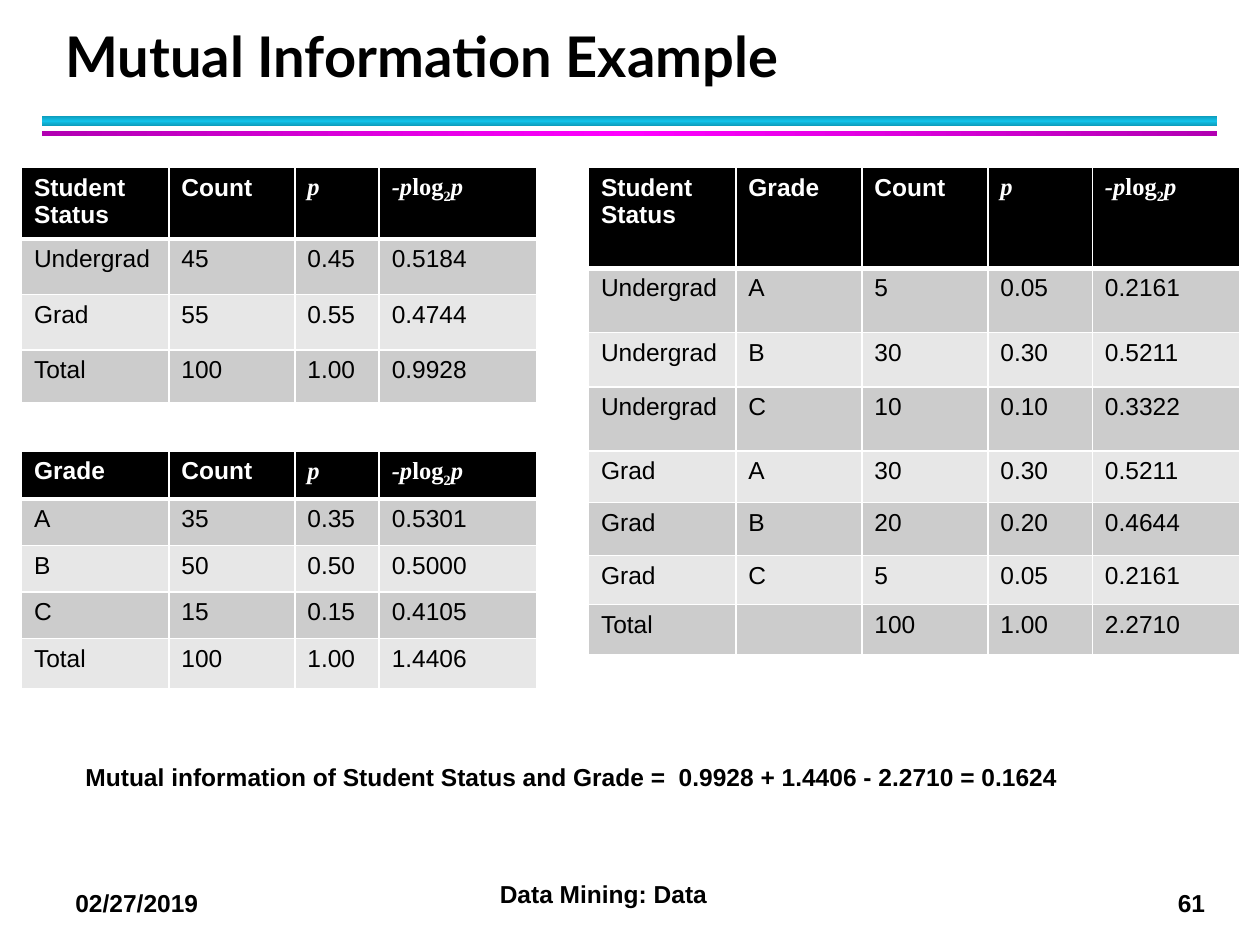
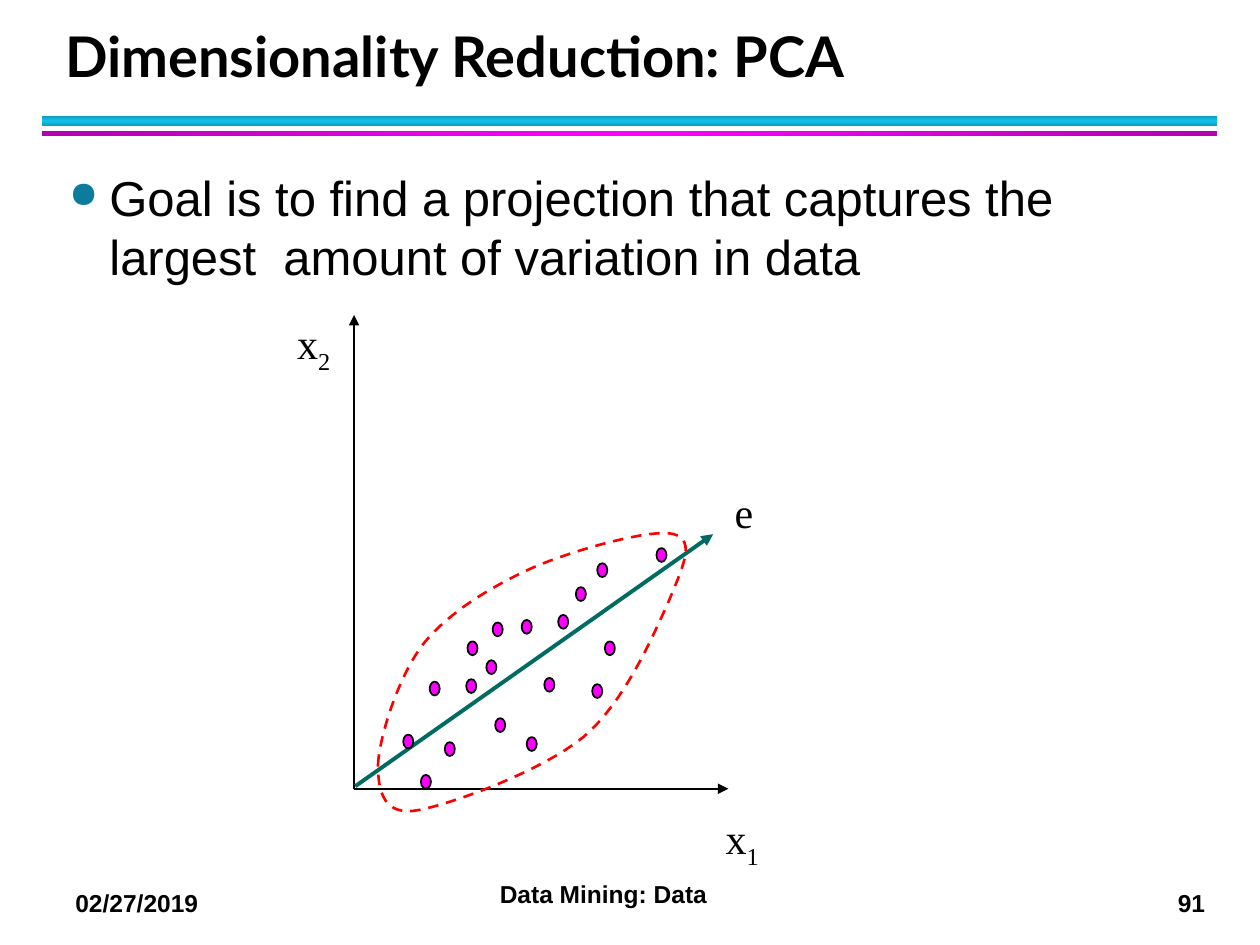
from copy import deepcopy

from pptx import Presentation
from pptx.dml.color import RGBColor
from pptx.enum.dml import MSO_LINE
from pptx.enum.shapes import MSO_CONNECTOR, MSO_SHAPE
from pptx.enum.text import MSO_ANCHOR, PP_ALIGN
from pptx.oxml.ns import qn
from pptx.util import Inches, Pt
from lxml import etree

RECTANGLE, OVAL = MSO_SHAPE.RECTANGLE, MSO_SHAPE.OVAL
STRAIGHT = MSO_CONNECTOR.STRAIGHT
DASH = MSO_LINE.DASH
LEFT, CENTER = PP_ALIGN.LEFT, PP_ALIGN.CENTER
TOP, MIDDLE, BOTTOM = MSO_ANCHOR.TOP, MSO_ANCHOR.MIDDLE, MSO_ANCHOR.BOTTOM

BLACK = RGBColor(0x00, 0x00, 0x00)
WHITE = RGBColor(0xFF, 0xFF, 0xFF)
BLUE_EDGE = RGBColor(0x0E, 0x9B, 0xBA)
BLUE_CORE = RGBColor(0x12, 0xC2, 0xE9)
MAGENTA_EDGE = RGBColor(0xB2, 0x00, 0xB2)
MAGENTA = RGBColor(0xFF, 0x00, 0xFF)
GREEN = RGBColor(0x00, 0x6B, 0x61)
RED = RGBColor(0xFF, 0x00, 0x00)
BULLET_BLUE = RGBColor(0x0C, 0x7B, 0x9C)
ROW_GREYS = (RGBColor(0xCC, 0xCC, 0xCC), RGBColor(0xE7, 0xE7, 0xE7))

BODY_FONT, TITLE_FONT, MATH_FONT = "Arial", "Lato", "Times New Roman"

DATE = "02/27/2019"
FOOTER = "Data Mining: Data"

BANDS = [
    (0.92, 0.08, BLUE_EDGE, BLUE_CORE, 90),
    (1.04, 0.04, MAGENTA_EDGE, MAGENTA, 0),
]

MATH = {"font": MATH_FONT, "italic": True}
PROBABILITY = [("p", MATH)]
ENTROPY = [
    ("-p", MATH),
    ("log", {"font": MATH_FONT}),
    ("2", {"font": MATH_FONT, "baseline": -25}),
    ("p", MATH),
]

NARROW_COLUMNS = [1.17, 1, 0.67, 1.25]
TABLES = [
    {
        "at": (0.17, 1.33),
        "columns": NARROW_COLUMNS,
        "heights": [0.44, 0.44, 0.44, 0.42],
        "rows": [
            ["Student Status", "Count", PROBABILITY, ENTROPY],
            ["Undergrad", "45", "0.45", "0.5184"],
            ["Grad", "55", "0.55", "0.4744"],
            ["Total", "100", "1.00", "0.9928"],
        ],
    },
    {
        "at": (0.17, 3.58),
        "columns": NARROW_COLUMNS,
        "heights": [0.38, 0.37, 0.37, 0.37, 0.4],
        "rows": [
            ["Grade", "Count", PROBABILITY, ENTROPY],
            ["A", "35", "0.35", "0.5301"],
            ["B", "50", "0.50", "0.5000"],
            ["C", "15", "0.15", "0.4105"],
            ["Total", "100", "1.00", "1.4406"],
        ],
    },
    {
        "at": (4.67, 1.33),
        "columns": [1.17, 1, 1, 0.83, 1.17],
        "heights": [0.8, 0.51, 0.43, 0.51, 0.41, 0.42, 0.39, 0.39],
        "rows": [
            ["Student Status", "Grade", "Count", PROBABILITY, ENTROPY],
            ["Undergrad", "A", "5", "0.05", "0.2161"],
            ["Undergrad", "B", "30", "0.30", "0.5211"],
            ["Undergrad", "C", "10", "0.10", "0.3322"],
            ["Grad", "A", "30", "0.30", "0.5211"],
            ["Grad", "B", "20", "0.20", "0.4644"],
            ["Grad", "C", "5", "0.05", "0.2161"],
            ["Total", "", "100", "1.00", "2.2710"],
        ],
    },
]
CONCLUSION = ("Mutual information of Student Status and Grade =  "
              "0.9928 + 1.4406 - 2.2710 = 0.1624")

GOAL = "Goal is to find a projection that captures the largest  amount of variation in data"

ORIGIN = (2.81, 6.26)
ARROWS = [
    (ORIGIN, (2.81, 2.5), BLACK, 1),
    (ORIGIN, (5.78, 6.26), BLACK, 1),
    ((2.82, 6.24), (5.66, 4.24), GREEN, 2.25),
]
AXIS_LABELS = [
    ([("x", {}), ("2", {"baseline": -25})], 2.25, 2.5, 0.48),
    ([("x", {}), ("1", {"baseline": -25})], 5.65, 6.43, 0.48),
    ("e", 5.73, 3.81, 0.35),
]
DOT_SIZE = (0.08, 0.11)
DOTS = [
    (3.41, 5.41), (3.71, 5.09), (3.2, 5.83), (3.86, 5.24), (3.7, 5.39), (4.32, 5.38),
    (4.18, 5.85), (3.93, 5.7), (4.14, 4.92), (4.8, 5.09), (5.21, 4.35), (3.53, 5.89),
    (4.43, 4.88), (4.74, 4.47), (3.91, 4.94), (4.57, 4.66), (4.7, 5.43), (3.34, 6.15),
]
OUTLINE_START = (3, 6.07)
OUTLINE_CURVES = [
    ((3.01, 5.85), (3.16, 5.37), (3.36, 5.11)),
    ((3.57, 4.85), (3.91, 4.65), (4.24, 4.5)),
    ((4.57, 4.36), (5.18, 4.19), (5.35, 4.24)),
    ((5.53, 4.29), (5.41, 4.52), (5.3, 4.79)),
    ((5.18, 5.05), (4.96, 5.57), (4.63, 5.85)),
    ((4.3, 6.12), (3.59, 6.38), (3.32, 6.43)),
    ((3.05, 6.48), (3, 6.29), OUTLINE_START),
]
CURVE_STEPS = 16


def write(paragraph, text, size=14, font=BODY_FONT, color=BLACK, bold=False,
          italic=False, baseline=0):
    if not isinstance(text, str):
        for part, part_format in text:
            write(paragraph, part, **{"size": size, "font": font, "color": color,
                                      "bold": bold, **part_format})
        return
    run = paragraph.add_run()
    run.text = text
    run.font.size = Pt(size)
    run.font.name = font
    run.font.bold = bold
    run.font.italic = italic
    run.font.color.rgb = color
    if baseline:
        run.font._element.set("baseline", str(baseline * 1000))


def add_text(slide, text, left, top, width, height, align=LEFT, anchor=TOP,
             wrap=True, **text_format):
    box = slide.shapes.add_textbox(Inches(left), Inches(top), Inches(width), Inches(height))
    frame = box.text_frame
    frame.word_wrap = wrap
    frame.vertical_anchor = anchor
    paragraph = frame.paragraphs[0]
    paragraph.alignment = align
    write(paragraph, text, **text_format)
    return paragraph


def add_band(slide, top, height, edge, core, angle):
    band = slide.shapes.add_shape(RECTANGLE, Inches(0.33), Inches(top),
                                  Inches(9.33), Inches(height))
    band.shadow.inherit = False
    band.line.fill.background()
    band.fill.gradient()
    band.fill.gradient_angle = angle
    stop_list = band._element.spPr.find(".//" + qn("a:gsLst"))
    stop_list.append(deepcopy(stop_list[0]))
    for stop, position, color in zip(band.fill.gradient_stops, (0, 0.5, 1), (edge, core, edge)):
        stop.position = position
        stop.color.rgb = color


def add_base_slide(presentation, title, number):
    slide = presentation.slides.add_slide(presentation.slide_layouts[6])
    for band in BANDS:
        add_band(slide, *band)
    add_text(slide, DATE, 0.5, 7, 1.33, 0.34, bold=True)
    add_text(slide, number, 9.25, 7, 0.44, 0.34, wrap=False, bold=True)
    add_text(slide, FOOTER, 2.75, 6.93, 4.08, 0.34, align=CENTER, bold=True)
    heading = add_text(slide, title, 0.42, 0.17, 9.06, 0.58, anchor=BOTTOM,
                       size=32, font=TITLE_FONT, bold=True)
    heading.line_spacing = Pt(36)
    return slide


def set_borders(cell, top, bottom):
    properties = cell._tc.get_or_add_tcPr()
    for side, width in (("L", 1), ("R", 1), ("T", top), ("B", bottom)):
        line = etree.SubElement(properties, qn("a:ln" + side), w=str(Pt(width)))
        fill = etree.SubElement(line, qn("a:solidFill"))
        etree.SubElement(fill, qn("a:srgbClr"), val=str(WHITE))


def add_count_table(slide, at, columns, heights, rows):
    frame = slide.shapes.add_table(len(rows), len(columns), Inches(at[0]), Inches(at[1]),
                                   Inches(sum(columns)), Inches(sum(heights)))
    table = frame.table
    table.horz_banding = False
    for column, width in zip(table.columns, columns):
        column.width = Inches(width)
    for index, (row, height, values) in enumerate(zip(table.rows, heights, rows)):
        row.height = Inches(height)
        is_header = index == 0
        for cell, value in zip(row.cells, values):
            set_borders(cell, 3 if index == 1 else 1, 3 if is_header else 1)
            cell.fill.solid()
            cell.fill.fore_color.rgb = BLACK if is_header else ROW_GREYS[(index - 1) % 2]
            if value:
                write(cell.text_frame.paragraphs[0], value, bold=is_header,
                      color=WHITE if is_header else BLACK)


def add_bullet(paragraph, color, percent, character, indent):
    properties = paragraph._p.get_or_add_pPr()
    properties.set("marL", str(Inches(indent)))
    properties.set("indent", str(-Inches(indent)))
    bullet_color = etree.SubElement(properties, qn("a:buClr"))
    etree.SubElement(bullet_color, qn("a:srgbClr"), val=str(color))
    etree.SubElement(properties, qn("a:buSzPct"), val=str(percent * 1000))
    etree.SubElement(properties, qn("a:buChar"), char=character)


def add_arrow(slide, start, end, color, width):
    arrow = slide.shapes.add_connector(STRAIGHT, *map(Inches, start + end))
    arrow.line.color.rgb = color
    arrow.line.width = Pt(width)
    etree.SubElement(arrow.line._get_or_add_ln(), qn("a:tailEnd"), type="triangle")
    etree.SubElement(arrow._element.spPr, qn("a:effectLst"))


def add_dot(slide, left, top):
    dot = slide.shapes.add_shape(OVAL, *map(Inches, (left, top) + DOT_SIZE))
    dot.shadow.inherit = False
    dot.fill.solid()
    dot.fill.fore_color.rgb = MAGENTA
    dot.line.color.rgb = BLACK
    dot.line.width = Pt(1)


def curve_points(start, curves):
    points = []
    for first, second, end in curves:
        for step in range(1, CURVE_STEPS + 1):
            t = step / CURVE_STEPS
            u = 1 - t
            points.append(tuple(
                Inches(u**3 * a + 3 * u * u * t * b + 3 * u * t * t * c + t**3 * d)
                for a, b, c, d in zip(start, first, second, end)))
        start = end
    return points


def add_cloud_outline(slide):
    builder = slide.shapes.build_freeform(*map(Inches, OUTLINE_START))
    builder.add_line_segments(curve_points(OUTLINE_START, OUTLINE_CURVES), close=True)
    outline = builder.convert_to_shape()
    outline.shadow.inherit = False
    outline.fill.background()
    outline.line.color.rgb = RED
    outline.line.width = Pt(1.5)
    outline.line.dash_style = DASH


def build_mutual_information(presentation):
    slide = add_base_slide(presentation, "Mutual Information Example", "61")
    for table in TABLES:
        add_count_table(slide, **table)
    add_text(slide, CONCLUSION, 0.58, 6, 8.75, 0.34, bold=True)


def build_pca(presentation):
    slide = add_base_slide(presentation, "Dimensionality Reduction: PCA", "91")
    goal = add_text(slide, GOAL, 0.45, 1.28, 9.1, 5.6, size=28)
    add_bullet(goal, BULLET_BLUE, 75, "●", 0.32)
    for arrow in ARROWS:
        add_arrow(slide, *arrow)
    for dot in DOTS:
        add_dot(slide, *dot)
    add_cloud_outline(slide)
    for text, left, top, width in AXIS_LABELS:
        add_text(slide, text, left, top, width, 0.5, align=CENTER, anchor=MIDDLE,
                 wrap=False, size=24, font=MATH_FONT)


def main():
    presentation = Presentation()
    presentation.slide_width = Inches(10)
    presentation.slide_height = Inches(7.5)
    build_mutual_information(presentation)
    build_pca(presentation)
    presentation.save("out.pptx")


if __name__ == "__main__":
    main()
